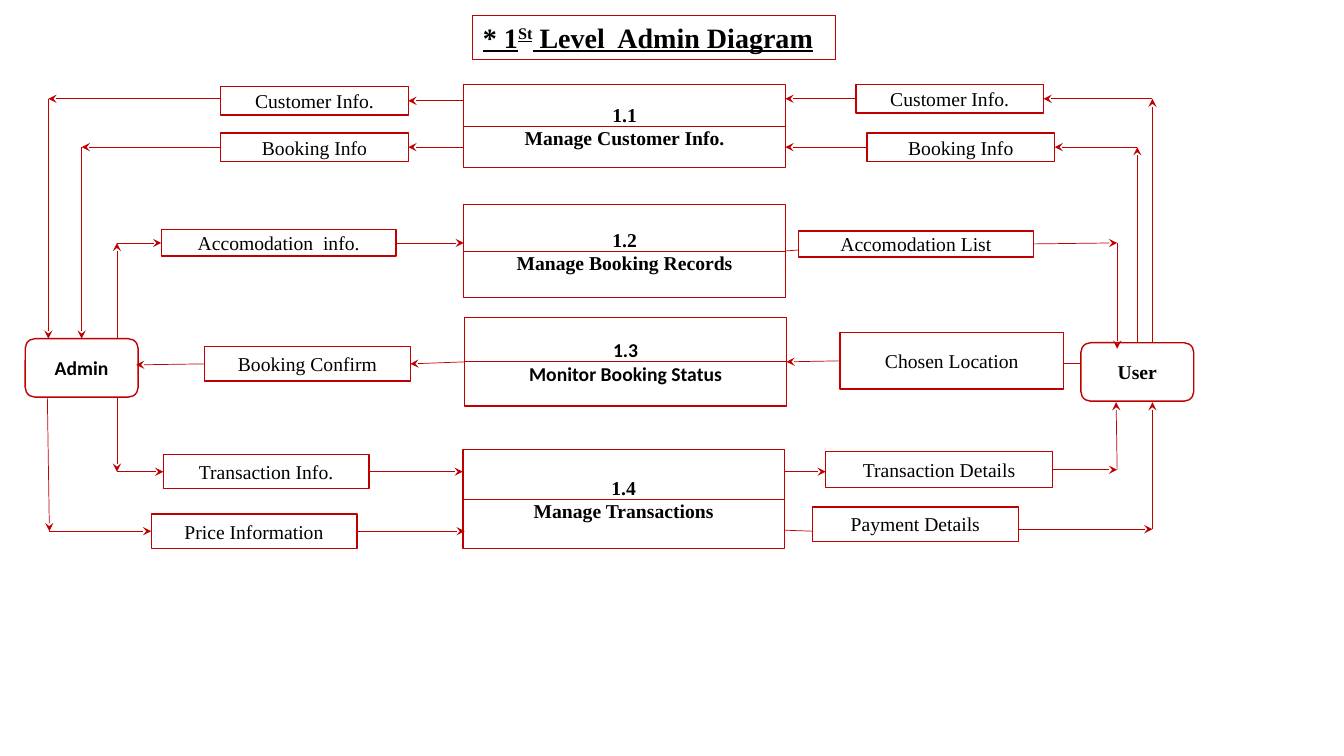
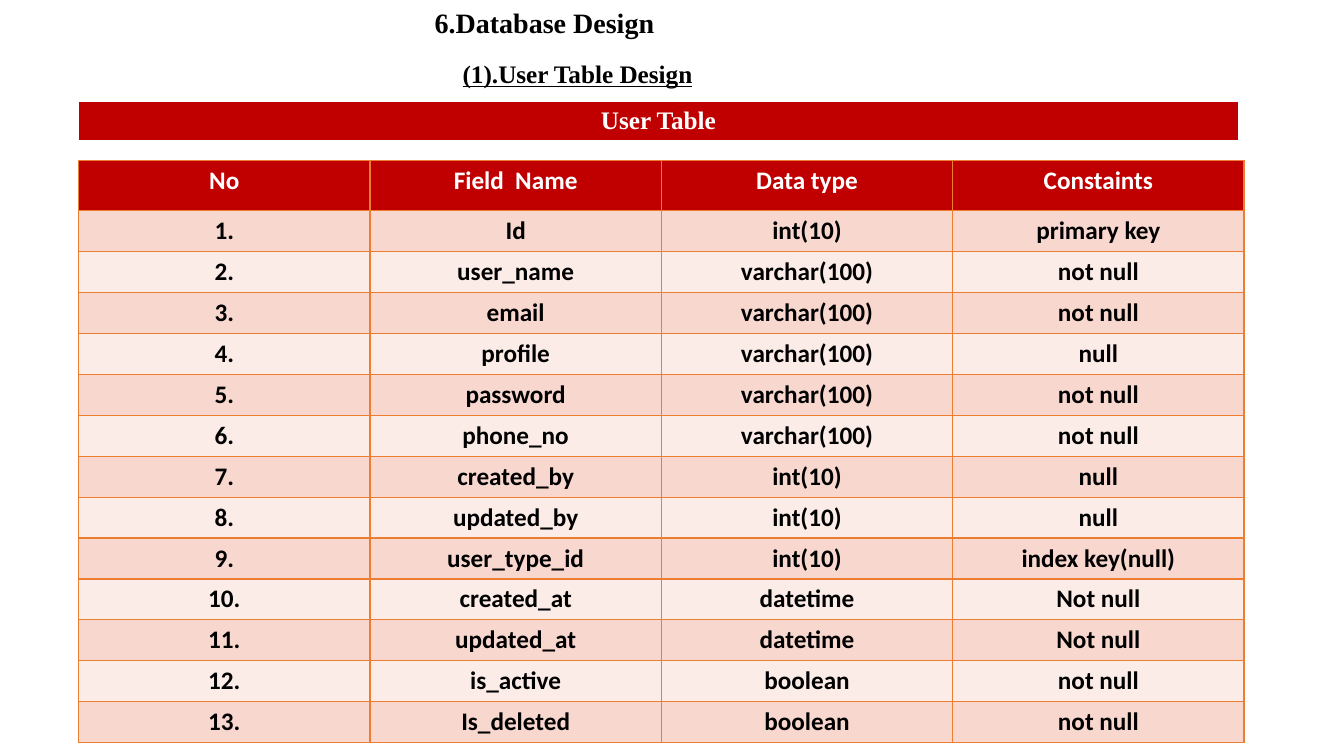
"""Build the admin data-flow diagram and the user table design slides."""
import pptx
import pptx.dml.color
import pptx.enum.shapes
import pptx.enum.text
import pptx.oxml.ns
import pptx.util
from lxml import etree

EMU_PER_PX = 9144
RED, WHITE, BLACK, ORANGE = "C00000", "FFFFFF", "000000", "ED7D31"
BANDS = ("F8D7CE", "FCECE8")
SERIF, SANS = "Times New Roman", "Calibri"
ALIGN = pptx.enum.text.PP_ALIGN
ANCHOR = pptx.enum.text.MSO_ANCHOR
SHAPES = pptx.enum.shapes.MSO_SHAPE
qn = pptx.oxml.ns.qn


def px(length):
    return pptx.util.Emu(length * EMU_PER_PX)


def colour(hex_code):
    return pptx.dml.color.RGBColor.from_string(hex_code)


def write(frame, text, size=14, font=SERIF, color=BLACK, bold=False,
          underline=False, align=ALIGN.CENTER, anchor=ANCHOR.MIDDLE):
    frame.word_wrap = True
    frame.auto_size = pptx.enum.text.MSO_AUTO_SIZE.NONE
    frame.vertical_anchor = anchor
    write_lines(frame, text, size, font, color, bold, underline, align)


def write_lines(frame, text, size, font, color, bold, underline, align):
    for index, line in enumerate(text.split("\n")):
        paragraph = frame.add_paragraph() if index else frame.paragraphs[0]
        paragraph.alignment = align
        for part, words in enumerate(line.split("^")):
            run = paragraph.add_run()
            run.text = words
            run.font.size = pptx.util.Pt(size)
            run.font.name = font
            run.font.bold = bold
            run.font.underline = underline
            run.font.color.rgb = colour(color)
            if part % 2:
                run._r.get_or_add_rPr().set("baseline", "30000")


class Deck:
    def __init__(self, width, height):
        self.presentation = pptx.Presentation()
        self.presentation.slide_width = px(width)
        self.presentation.slide_height = px(height)

    def new_slide(self):
        layout = self.presentation.slide_layouts[5]
        self.slide = self.presentation.slides.add_slide(layout)
        self.sides = []

    def outline(self, shape, width):
        shape.line.color.rgb = colour(RED)
        shape.line.width = pptx.util.Pt(width)

    def title(self, text, left, top, width, height, framed=False, **style):
        shape = self.slide.shapes.title
        shape.left, shape.top = px(left), px(top)
        shape.width, shape.height = px(width), px(height)
        if framed:
            self.outline(shape, 0.75)
        write(shape.text_frame, text, size=20, bold=True,
              anchor=ANCHOR.TOP, **style)

    def label(self, text, left, top, width, height, **style):
        shape = self.slide.shapes.add_textbox(
            px(left), px(top), px(width), px(height))
        write(shape.text_frame, text, anchor=ANCHOR.TOP, **style)

    def box(self, text, left, top, width, height,
            kind=SHAPES.RECTANGLE, **style):
        shape = self.slide.shapes.add_shape(
            kind, px(left), px(top), px(width), px(height))
        shape.shadow.inherit = False
        shape.fill.solid()
        shape.fill.fore_color.rgb = colour(WHITE)
        self.outline(shape, 1)
        write(shape.text_frame, text, **style)
        middle, centre = top + height / 2, left + width / 2
        points = ((centre, top), (left, middle),
                  (centre, top + height), (left + width, middle))
        self.sides += [(shape, side, *point)
                       for side, point in enumerate(points)]

    def process(self, text, left, top, width, height, font=SERIF):
        self.box(text, left, top, width, height, font=font, bold=True)
        middle = top + height // 2
        self.line((left, middle), (left + width, middle), arrow=False)

    def join(self, connect, point):
        for shape, side, x, y in self.sides:
            if abs(x - point[0]) <= 1 and abs(y - point[1]) <= 1:
                connect(shape, side)
                return

    def line(self, start, end, arrow=True):
        connector = self.slide.shapes.add_connector(
            pptx.enum.shapes.MSO_CONNECTOR.STRAIGHT,
            *(px(length) for length in (*start, *end)))
        self.join(connector.begin_connect, start)
        self.join(connector.end_connect, end)
        self.outline(connector, 0.5)
        properties = connector._element.spPr
        if arrow:
            etree.SubElement(properties.find(qn("a:ln")),
                             qn("a:tailEnd"), type="stealth")
        etree.SubElement(properties, qn("a:effectLst"))

    def route(self, *points):
        for start, end in zip(points, points[1:]):
            self.line(start, end)

    def cell(self, cell, text, fill, border, bottom=1, **style):
        properties = cell._tc.get_or_add_tcPr()
        for side, width in zip("LRTB", (1, 1, 1, bottom)):
            edge = etree.SubElement(properties, qn(f"a:ln{side}"),
                                    w=str(pptx.util.Pt(width)))
            solid = etree.SubElement(edge, qn("a:solidFill"))
            etree.SubElement(solid, qn("a:srgbClr"), val=border)
        cell.fill.solid()
        cell.fill.fore_color.rgb = colour(fill)
        write_lines(cell.text_frame, text, 18, style["font"],
                    style["color"], True, False, ALIGN.CENTER)

    def table(self, rows, left, top, width, height, header, font,
              border, bottom=1):
        table = self.slide.shapes.add_table(
            len(rows), len(rows[0]), px(left), px(top),
            px(width), px(height)).table
        table.horz_banding = False
        for index, row in enumerate(rows):
            if index:
                table.rows[index].height = px(height - header) // (len(rows) - 1)
            else:
                table.rows[index].height = px(header)
            fill = BANDS[(index - 1) % 2] if index else RED
            color = BLACK if index else WHITE
            for column, text in enumerate(row):
                self.cell(table.cell(index, column), text, fill, border,
                          bottom, font=font, color=color)


ACTORS = (("Admin", 25, 336, SANS), ("User", 1072, 340, SERIF))
PROCESSES = (
    ("1.1\nManage Customer Info.", 460, 84, 319, 82, SERIF),
    ("1.2\nManage Booking Records", 460, 203, 319, 92, SERIF),
    ("1.3\nMonitor Booking Status", 461, 315, 319, 88, SANS),
    ("1.4\nManage Transactions", 459, 446, 319, 98, SERIF),
)
FLOWS = (
    ("Customer Info.", 219, 86, 186, 28),
    ("Booking Info", 219, 132, 186, 28),
    ("Customer Info.", 849, 84, 186, 28),
    ("Booking Info", 860, 132, 186, 28),
    ("Accomodation  info.", 160, 228, 233, 26),
    ("Accomodation List", 792, 229, 233, 26),
    ("Booking Confirm", 203, 344, 204, 34),
    ("Chosen Location", 833, 330, 222, 56),
    ("Transaction Info.", 162, 451, 204, 34),
    ("Transaction Details", 819, 448, 225, 36),
    ("Price Information", 150, 510, 204, 34),
    ("Payment Details", 806, 503, 204, 34),
)
ROUTES = (
    ((460, 100), (405, 100)),
    ((219, 98), (48, 98), (48, 336)),
    ((460, 146), (405, 146)),
    ((219, 146), (81, 146), (81, 336)),
    ((1143, 340), (1143, 98), (1035, 98)),
    ((849, 98), (779, 98)),
    ((1128, 340), (1128, 146), (1046, 146)),
    ((860, 146), (779, 146)),
    ((116, 336), (116, 241), (160, 241)),
    ((393, 241), (460, 241)),
    ((1025, 242), (1108, 241), (1108, 346)),
    ((461, 359), (407, 361)),
    ((203, 361), (135, 362)),
    ((833, 358), (780, 359)),
    ((116, 395), (116, 468), (162, 468)),
    ((366, 468), (459, 468)),
    ((778, 468), (819, 468)),
    ((1044, 466), (1108, 466), (1107, 399)),
    ((47, 394), (49, 527), (150, 527)),
    ((354, 527), (461, 527)),
    ((1010, 525), (1143, 525), (1143, 399)),
)
PLAIN_LINES = (
    ((779, 249), (792, 248)),
    ((1072, 360), (1055, 360)),
    ((778, 526), (806, 527)),
)
FIELDS = (
    ("Id", "int(10)", "primary key"),
    ("user_name", "varchar(100)", "not null"),
    ("email", "varchar(100)", "not null"),
    ("profile", "varchar(100)", "null"),
    ("password", "varchar(100)", "not null"),
    ("phone_no", "varchar(100)", "not null"),
    ("created_by", "int(10)", "null"),
    ("updated_by", "int(10)", "null"),
    ("user_type_id", "int(10)", "index key(null)"),
    ("created_at", "datetime", "Not null"),
    ("updated_at", "datetime", "Not null"),
    ("is_active", "boolean", "not null"),
    ("Is_deleted", "boolean", "not null"),
)


def admin_diagram(deck):
    deck.new_slide()
    deck.title("* 1^St^ Level  Admin Diagram", 469, 15, 360, 44,
               framed=True, underline=True, align=ALIGN.LEFT)
    for name, left, top, font in ACTORS:
        deck.box(name, left, top, 112, 58, kind=SHAPES.ROUNDED_RECTANGLE,
                 font=font, bold=True)
    for process in PROCESSES:
        deck.process(*process)
    for flow in FLOWS:
        deck.box(*flow)
    for points in ROUTES:
        deck.route(*points)
    for start, end in PLAIN_LINES:
        deck.line(start, end, arrow=False)


def user_table_design(deck):
    deck.new_slide()
    deck.title("6.Database Design", 319, 0, 442, 44)
    deck.label("(1).User Table Design", 449, 53, 270, 40, size=18,
               bold=True, underline=True, align=ALIGN.LEFT)
    deck.table([("User Table",)], 78, 101, 1150, 40, header=40,
               font=SERIF, border=WHITE, bottom=3)
    rows = [("No", "Field  Name", "Data type", "Constaints")]
    rows += [(f"{number}.", *field) for number, field in enumerate(FIELDS, 1)]
    deck.table(rows, 78, 159, 1156, 578, header=50, font=SANS, border=ORANGE)


def main():
    deck = Deck(1333, 750)
    admin_diagram(deck)
    user_table_design(deck)
    deck.presentation.save("out.pptx")


if __name__ == "__main__":
    main()
